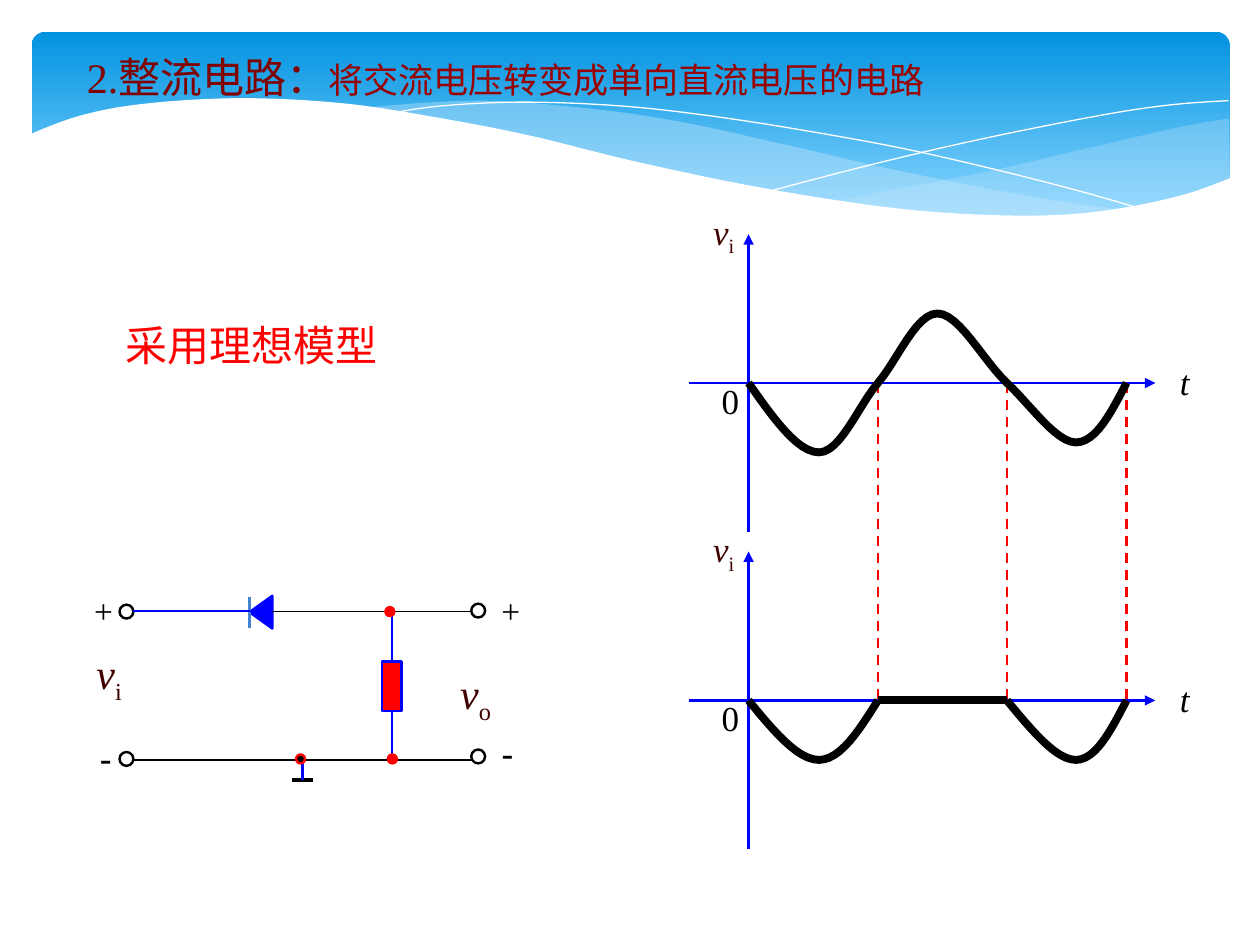
from dataclasses import dataclass

from lxml import etree
from pptx import Presentation
from pptx.dml.color import RGBColor
from pptx.enum.dml import MSO_LINE
from pptx.enum.shapes import MSO_CONNECTOR, MSO_SHAPE
from pptx.enum.text import MSO_AUTO_SIZE, PP_ALIGN
from pptx.oxml.ns import qn
from pptx.util import Cm, Pt

STRAIGHT = MSO_CONNECTOR.STRAIGHT
DASH = MSO_LINE.DASH
OVAL, RECTANGLE = MSO_SHAPE.OVAL, MSO_SHAPE.RECTANGLE
ROUNDED, TRIANGLE = MSO_SHAPE.ROUNDED_RECTANGLE, MSO_SHAPE.ISOSCELES_TRIANGLE
LEFT, CENTER = PP_ALIGN.LEFT, PP_ALIGN.CENTER
GROW = MSO_AUTO_SIZE.SHAPE_TO_FIT_TEXT


@dataclass
class Theme:
    sky_top: str = "0293E0"
    sky_bottom: str = "83D3FE"
    mist: str = "C6E7FC"
    white: str = "FFFFFF"
    black: str = "000000"
    blue: str = "0000FF"
    steel: str = "4584D3"
    red: str = "FF0000"
    maroon: str = "800000"
    crimson: str = "990000"
    brown: str = "400000"
    serif: str = "Times New Roman"
    sans: str = "Arial"
    heading: int = 24
    label: int = 20
    plus: int = 19
    minus: int = 21
    hairline: float = 0
    thin: float = 0.75
    normal: float = 1.38
    thick: float = 2.25
    heavy: float = 4.5


theme = Theme()
deck = Presentation()
deck.slide_width, deck.slide_height = Cm(25.4), Cm(19.05)
page = deck.slides.add_slide(deck.slide_layouts[6])


def draw_curve(*chains, fill=None, alpha=100, line=None, width=0):
    """Run a smooth curve through the knots of each chain; chains meet in corners."""
    points = []
    for knots in chains:
        last = len(knots) - 1
        slopes = [tuple((knots[min(i + 1, last)][k] - knots[max(i - 1, 0)][k]) / 6 for k in (0, 1))
                  for i in range(last + 1)]
        points.append(knots[0])
        for i in range(last):
            start, end = knots[i], knots[i + 1]
            first = [start[k] + slopes[i][k] for k in (0, 1)]
            second = [end[k] - slopes[i + 1][k] for k in (0, 1)]
            if i == 0:
                first = [(start[k] + second[k]) / 2 for k in (0, 1)]
            if i == last - 1:
                second = [(end[k] + first[k]) / 2 for k in (0, 1)]
            for step in range(1, 13):
                t = step / 12
                u = 1 - t
                points.append([u**3 * start[k] + 3 * u * u * t * first[k]
                               + 3 * u * t * t * second[k] + t**3 * end[k] for k in (0, 1)])
    places = [(Cm(x), Cm(y)) for x, y in points]
    builder = page.shapes.build_freeform(*places[0])
    builder.add_line_segments(places[1:], close=fill is not None)
    shape = builder.convert_to_shape()
    shape.shadow.inherit = False
    if fill:
        shape.fill.solid()
        shape.fill.fore_color.rgb = RGBColor.from_string(fill)
        color = shape._element.spPr.find(qn("a:solidFill"))[0]
        etree.SubElement(color, qn("a:alpha"), val=str(alpha * 1000))
    else:
        shape.fill.background()
    if line:
        shape.line.color.rgb = RGBColor.from_string(line)
        shape.line.width = Pt(width)
    else:
        shape.line.fill.background()


def add_span(para, text, *, size, color, font=theme.serif, italic=False, baseline=0):
    span = para.add_run()
    span.text = text
    span.font.size, span.font.name, span.font.italic = Pt(size), font, italic
    span.font.color.rgb = RGBColor.from_string(color)
    if baseline:
        span._r.get_or_add_rPr().set("baseline", str(baseline * 1000))


# Banner with waves
banner = page.shapes.add_shape(ROUNDED, Cm(0.64), Cm(0.64), Cm(24.15), Cm(3.96))
banner.adjustments[0] = 0.07
banner.shadow.inherit = False
banner.line.fill.background()
banner.fill.gradient()
banner.fill.gradient_angle = 270
for stop, color, position in zip(banner.fill.gradient_stops,
                                 (theme.sky_top, theme.sky_bottom), (0, 0.9)):
    stop.color.rgb = RGBColor.from_string(color)
    stop.position = position
draw_curve([(24.77, 2.39), (23.75, 2.57), (21.87, 3), (19.79, 3.48), (16.79, 4.06)],
           [(16.79, 4.06), (19.53, 4.34), (21.69, 4.32), (23.39, 4.06), (24.79, 3.58)],
           fill=theme.mist, alpha=29)
draw_curve([(22.68, 4.24), (20.5, 3.91), (17.93, 3.4), (15.98, 2.95), (13.74, 2.46),
            (11.81, 2.18), (9.65, 2.03), (7.26, 2.18)],
           [(7.26, 2.18), (9.19, 2.46), (11.4, 2.95), (14.38, 3.63), (16.89, 4.09),
            (19, 4.32), (20.78, 4.39), (22.68, 4.24)],
           fill=theme.mist, alpha=40)
draw_curve([(7.85, 2.29), (8.97, 2.13), (10.57, 2.06), (12.42, 2.13), (14.12, 2.31),
            (16.15, 2.62), (18.47, 3.05), (21.11, 3.68), (23.04, 4.22)],
           line=theme.white, width=theme.hairline)
draw_curve([(15.57, 3.84), (17.65, 3.3), (19.71, 2.82), (22, 2.36), (23.47, 2.13), (24.77, 2.03)],
           line=theme.white, width=theme.hairline)
draw_curve([(24.82, 3.58), (23.62, 3.99), (21.92, 4.29), (20.14, 4.34), (17.98, 4.19),
            (15.32, 3.78), (12.78, 3.25), (10.62, 2.72), (8.64, 2.34), (6.88, 2.08),
            (4.9, 1.98), (3.02, 2.08), (1.7, 2.31), (0.58, 2.72)],
           [(0.58, 5.69), (24.82, 5.69)], fill=theme.white)

# Circuit parts: kind, left, top, width, height, fill, line, rotation
parts = [(TRIANGLE, 4.93, 12.11, 0.66, 0.46, theme.blue, theme.blue, 270),
         (RECTANGLE, 7.7, 13.34, 0.4, 0.99, theme.red, theme.blue, 0)]
parts += [(OVAL, x, y, 0.28, 0.28, None, theme.black, 0)
          for x, y in ((2.41, 12.19), (9.5, 12.17), (2.41, 15.16), (9.5, 15.11))]
dots = [(OVAL, x, y, 0.18, 0.18, fill, theme.red, 0)
        for x, y, fill in ((7.82, 15.21, theme.red), (7.77, 12.24, theme.red),
                           (5.97, 15.21, theme.black))]

# Wires: start, end, colour, width
top_rail, bottom_rail, load = 12.32, 15.32, 7.9
wires = [((5.49, top_rail), (9.5, top_rail), theme.black, theme.thin),
         ((2.69, bottom_rail), (9.5, bottom_rail), theme.black, theme.thin),
         ((5.03, 12.04), (5.03, 12.65), theme.steel, theme.normal),
         ((2.69, top_rail), (5.11, top_rail), theme.blue, theme.normal),
         ((load, top_rail), (load, 13.34), theme.blue, theme.normal),
         ((load, bottom_rail), (load, 14.33), theme.blue, theme.normal),
         ((5.89, 15.72), (6.3, 15.72), theme.black, theme.thick),
         ((6.1, bottom_rail), (6.1, 15.72), theme.blue, theme.normal)]
resistor_sites = {(load, 13.34): 0, (load, 14.33): 2}

# Axes of both plots and the dashed guides between them
origin, input_axis, output_axis = 15.09, 7.72, 14.12
crossings = (17.7, 20.3, 22.71)
axes = []
for base in (input_axis, output_axis):
    axes += [((13.89, base), (23.29, base), theme.blue, theme.normal),
             ((origin, base + 3), (origin, base - 3), theme.blue, theme.normal)]
guides = [((x, input_axis), (x, output_axis), theme.red, theme.normal) for x in crossings]

# Draw parts, then lines, then junction dots
resistor = None
for group in (parts, wires + axes + guides, dots):
    for item in group:
        if len(item) == 8:
            kind, left, top, width, height, fill, color, rotation = item
            shape = page.shapes.add_shape(kind, Cm(left), Cm(top), Cm(width), Cm(height))
            shape.shadow.inherit = False
            shape.rotation = rotation
            if fill:
                shape.fill.solid()
                shape.fill.fore_color.rgb = RGBColor.from_string(fill)
            else:
                shape.fill.background()
            weight = theme.normal
            if kind == RECTANGLE:
                resistor = shape
        else:
            start, end, color, weight = item
            shape = page.shapes.add_connector(STRAIGHT, *(Cm(v) for v in start + end))
            etree.SubElement(shape._element.spPr, qn("a:effectLst"))
            if end in resistor_sites:
                shape.end_connect(resistor, resistor_sites[end])
        shape.line.color.rgb = RGBColor.from_string(color)
        shape.line.width = Pt(weight)
        if item in guides:
            shape.line.dash_style = DASH
        if item in axes:
            etree.SubElement(shape.line._get_or_add_ln(), qn("a:tailEnd"), type="triangle")

# Waveforms
trough = output_axis + 1.2
for knots in ([(origin, input_axis), (16.51, 9.12), (17.7, input_axis), (18.9, 6.32),
               (20.3, input_axis), (21.69, 8.92), (22.71, input_axis)],
              [(origin, output_axis), (16.51, trough), (17.7, output_axis)],
              [(20.3, output_axis), (21.69, trough), (22.71, output_axis)]):
    draw_curve(knots, line=theme.black, width=theme.heavy)
flat = page.shapes.add_connector(STRAIGHT, Cm(17.7), Cm(output_axis), Cm(20.3), Cm(output_axis))
flat.line.color.rgb = RGBColor.from_string(theme.black)
flat.line.width = Pt(theme.heavy)
etree.SubElement(flat._element.spPr, qn("a:effectLst"))

# Text: left, top, width, height, alignment, inset, wrap, spans
big = dict(size=theme.heading, color=theme.brown)
small = dict(size=theme.label, color=theme.brown)
tick = dict(size=theme.label, color=theme.black)
plus = [("+", dict(size=theme.plus, color=theme.black))]
minus = [("-", dict(size=theme.minus, color=theme.black, font=theme.sans))]
labels = [
    (1.5, 0.91, 22.81, 1.27, LEFT, True, True,
     [("2.整流电路：", dict(size=theme.heading, color=theme.maroon)),
      ("将交流电压转变成单向直流电压的电路", dict(size=theme.label, color=theme.crimson))]),
    (2.29, 6.32, 5.59, 1.27, LEFT, True, True,
     [("采用理想模型", dict(size=theme.heading, color=theme.red))]),
    (1.9, 11.91, 0.38, 0.81, LEFT, False, False, plus),
    (10.11, 11.91, 0.38, 0.81, LEFT, False, False, plus),
    (2.01, 14.83, 0.2, 0.89, LEFT, False, True, minus),
    (10.11, 14.73, 0.2, 0.89, LEFT, False, True, minus)]
for left, top, style, index in ((1.5, 12.93, big, "i"), (8.89, 13.34, big, "o"),
                                (13.89, input_axis - 3.61, small, "i"),
                                (13.89, output_axis - 3.61, small, "i")):
    labels.append((left, top, 1.4, 1.27 if style is big else 1.09, CENTER, True, True,
                   [("v", dict(style, italic=True)), (index, dict(style, baseline=-25))]))
for base in (input_axis, output_axis):
    labels += [(14.3, base - 0.2, 0.61, 1.09, CENTER, True, True, [("0", tick)]),
               (23.29, base - 0.58, 1.19, 1.09, CENTER, True, True, [("t", dict(tick, italic=True))])]
for left, top, width, height, align, inset, wrap, spans in labels:
    box = page.shapes.add_textbox(Cm(left), Cm(top), Cm(width), Cm(height))
    frame = box.text_frame
    frame.word_wrap, frame.auto_size = wrap, GROW
    if not inset:
        frame.margin_left = frame.margin_right = frame.margin_top = frame.margin_bottom = Cm(0)
    para = frame.paragraphs[0]
    para.alignment = align
    for text, style in spans:
        add_span(para, text, **style)

deck.save("out.pptx")
